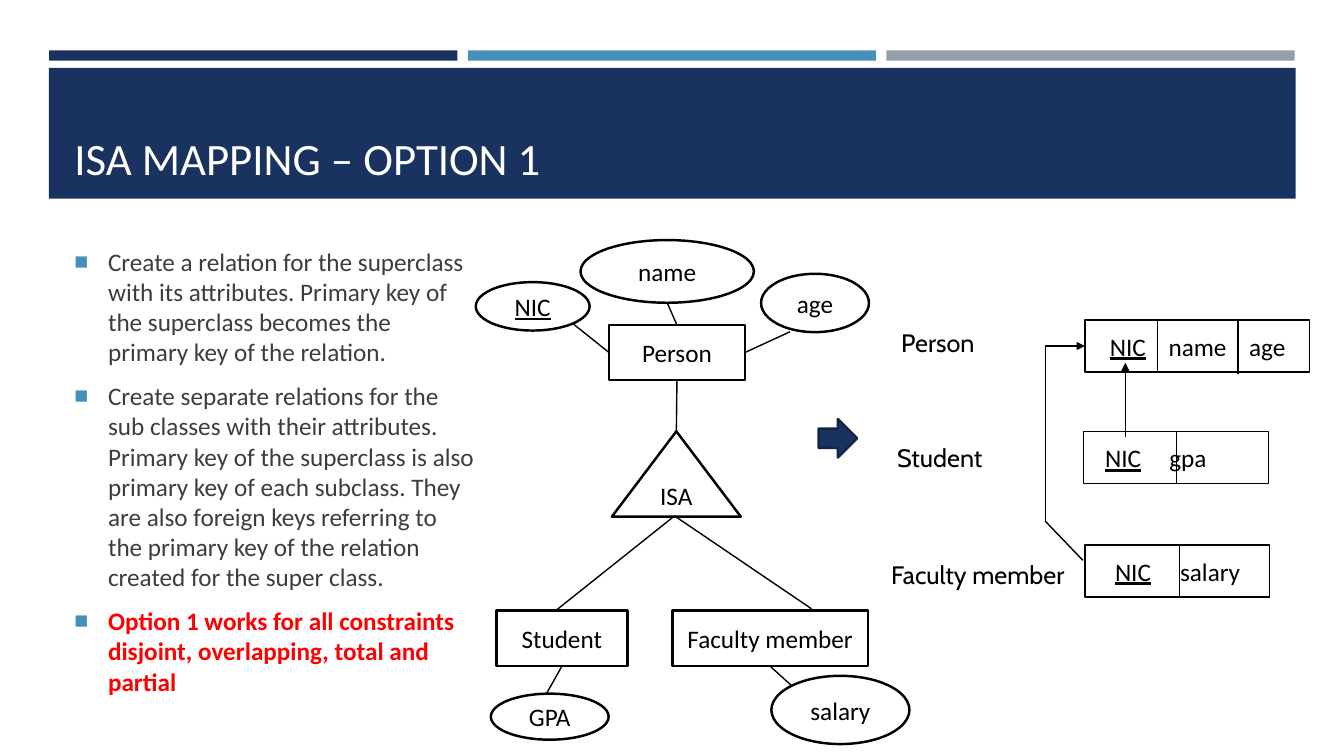
from lxml.etree import SubElement
from pptx import Presentation
from pptx.dml.color import RGBColor
from pptx.enum.shapes import MSO_CONNECTOR, MSO_SHAPE
from pptx.enum.text import MSO_ANCHOR, MSO_AUTO_SIZE, PP_ALIGN
from pptx.oxml.ns import qn
from pptx.util import Cm, Pt

NAVY = RGBColor(0x1A, 0x32, 0x60)
EDGE = RGBColor(0x13, 0x25, 0x47)
BLUE = RGBColor(0x45, 0x90, 0xB8)
GRAY = RGBColor(0x96, 0x9F, 0xA7)
DARK = RGBColor(0x3D, 0x3D, 0x3D)
RED = RGBColor(0xFF, 0x00, 0x00)
BLACK = RGBColor(0x00, 0x00, 0x00)
WHITE = RGBColor(0xFF, 0xFF, 0xFF)

RECT, OVAL = MSO_SHAPE.RECTANGLE, MSO_SHAPE.OVAL


def write(par, text, size=18, font="Calibri", color=BLACK, bold=False, under=False):
    run = par.add_run()
    run.text = text
    run.font.size = Pt(size)
    run.font.name = font
    run.font.color.rgb = color
    run.font.bold = bold
    run.font.underline = under


def link(start, end, arrow=False):
    """Draw a line; each end is an (x, y) point in cm or a (shape, site) pair."""
    spots = [(0, 0) if hasattr(e[0], "shape_id") else e for e in (start, end)]
    line = slide.shapes.add_connector(
        MSO_CONNECTOR.STRAIGHT, *[Cm(v) for spot in spots for v in spot])
    if hasattr(start[0], "shape_id"):
        line.begin_connect(*start)
    if hasattr(end[0], "shape_id"):
        line.end_connect(*end)
    line.line.color.rgb = BLACK
    line.line.width = Pt(1)
    props = line.element.spPr
    if arrow:
        SubElement(props.find(qn("a:ln")), qn("a:tailEnd"), type="triangle")
    SubElement(props, qn("a:effectLst"))


deck = Presentation()
deck.slide_width, deck.slide_height = Cm(33.87), Cm(19.05)
slide = deck.slides.add_slide(deck.slide_layouts[1])
title, body = slide.placeholders

# Title and list
for holder, box, anchor in [
    (title, (1.62, 1.96, 30.63, 2.82), MSO_ANCHOR.BOTTOM),
    (body, (1.62, 6.07, 10.6, 12.55), MSO_ANCHOR.TOP),
]:
    holder.left, holder.top, holder.width, holder.height = map(Cm, box)
    holder.text_frame.vertical_anchor = anchor
    holder.text_frame.auto_size = MSO_AUTO_SIZE.NONE
    holder.text_frame.word_wrap = True

par = title.text_frame.paragraphs[0]
par.alignment = PP_ALIGN.LEFT
write(par, "ISA MAPPING – OPTION 1", size=32, color=WHITE)

points = [
    ("Create a relation for the superclass with its attributes. Primary key of "
     "the superclass becomes the primary key of the relation.", DARK, False),
    ("Create separate relations for the sub classes with their attributes. "
     "Primary key of the superclass is also primary key of each subclass. They "
     "are also foreign keys referring to the primary key of the relation "
     "created for the super class.", DARK, False),
    ("Option 1 works for all constraints disjoint, overlapping, total and "
     "partial", RED, True),
]
for i, (text, color, bold) in enumerate(points):
    par = body.text_frame.add_paragraph() if i else body.text_frame.paragraphs[0]
    par.space_before, par.space_after = Pt(3.6), Pt(6)
    write(par, text, color=color, bold=bold)
    props = par._p.get_or_add_pPr()
    props.set("marL", str(Cm(0.85)))
    props.set("indent", str(-Cm(0.85)))
    SubElement(SubElement(props, qn("a:buClr")), qn("a:srgbClr"), val=str(BLUE))
    SubElement(props, qn("a:buSzPct"), val="92000")
    SubElement(props, qn("a:buFont"), typeface="Arial")
    SubElement(props, qn("a:buChar"), char="■")

# Every filled shape: key, preset, box, fill, line, line width, label
shapes = [
    (f"Bar {i + 1}", RECT, (1.24 + 10.55 * i, 1.27, 10.29, 0.26), fill, None, 0, "")
    for i, fill in enumerate([NAVY, BLUE, GRAY])
]
shapes += [
    ("Banner", RECT, (1.23, 1.71, 31.42, 3.3), NAVY, None, 0, ""),
    ("Arrow", MSO_SHAPE.RIGHT_ARROW, (20.63, 10.56, 0.97, 0.97), NAVY, EDGE, 1.75, ""),
]
shapes += [(text, kind, box, WHITE, BLACK, 1.75, text) for text, kind, box in [
    ("Person", RECT, (15.35, 8.19, 3.42, 1.39)),
    ("NIC", OVAL, (11.99, 7.11, 2.87, 1.22)),
    ("name", OVAL, (14.63, 6.05, 4.37, 1.58)),
    ("age", OVAL, (19.18, 6.9, 2.72, 1.47)),
    ("ISA", MSO_SHAPE.ISOSCELES_TRIANGLE, (15.42, 10.87, 3.25, 2.15)),
    ("Student", RECT, (12.51, 15.39, 3.3, 1.4)),
    ("Faculty member", RECT, (16.95, 15.39, 4.92, 1.4)),
    ("GPA", OVAL, (12.37, 17.48, 2.97, 1.16)),
    ("salary", OVAL, (19.44, 17.03, 3.48, 1.72)),
]]
shapes += [(name, RECT, box, WHITE, BLACK, 1, "") for name, box in [
    ("Person table", (27.34, 8.06, 5.66, 1.32)),
    ("Student table", (27.31, 10.87, 4.66, 1.32)),
    ("Faculty table", (27.34, 13.73, 4.65, 1.32)),
]]
made = {}
for name, kind, box, fill, edge, width, text in shapes:
    shape = slide.shapes.add_shape(kind, *map(Cm, box))
    shape.shadow.inherit = False
    shape.fill.solid()
    shape.fill.fore_color.rgb = fill
    if edge is None:
        shape.line.fill.background()
        title.element.addprevious(shape.element)
    else:
        shape.line.color.rgb = edge
        shape.line.width = Pt(width)
    frame = shape.text_frame
    frame.margin_left = frame.margin_right = 0
    frame.margin_top = frame.margin_bottom = 0
    frame.vertical_anchor = MSO_ANCHOR.MIDDLE
    if text:
        frame.paragraphs[0].alignment = PP_ALIGN.CENTER
        write(frame.paragraphs[0], text, under=text == "NIC")
    made[name] = shape

# Entity diagram
person, isa = made["Person"], made["ISA"]
for start, end in [
    ((isa, 0), (person, 2)),
    ((17, 13), (14, 15.39)),
    ((17, 13), (20.45, 15.34)),
    ((14.43, 8.15), (person, 1)),
    ((19.91, 8.36), (person, 3)),
    ((16.81, 7.62), (person, 0)),
    ((made["Student"], 2), (13.77, 17.48)),
    ((19.94, 17.27), (made["Faculty member"], 2)),
]:
    link(start, end)

# Relations: key position, then the other fields with their positions
for name, key, fields, cuts in [
    ("Person table", 27.97, [("name", 29.45), ("age", 31.48)],
     [(29.17, 8.06), (31.2, 8.1)]),
    ("Student table", 27.85, [("gpa", 29.47)], [(29.65, 10.87)]),
    ("Faculty table", 28.1, [("salary", 29.74)], [(29.72, 13.73)]),
]:
    table = made[name]
    table.text_frame.margin_left = Cm(key) - table.left
    par = table.text_frame.paragraphs[0]
    par.alignment = PP_ALIGN.LEFT
    write(par, "NIC", under=True)
    stops = SubElement(par._p.get_or_add_pPr(), qn("a:tabLst"))
    for text, x in fields:
        SubElement(stops, qn("a:tab"), pos=str(Cm(x - key)), algn="l")
        write(par, "\t" + text)
    for x, y in cuts:
        link((x, y), (x, y + 1.32))

for text, x, y, width in [
    ("Person", 22.46, 8.13, 2.41),
    ("Student", 22.36, 11.01, 2.69),
    ("Faculty member", 22.21, 13.97, 5.03),
]:
    frame = slide.shapes.add_textbox(Cm(x), Cm(y), Cm(width), Cm(1.02)).text_frame
    frame.word_wrap = False
    write(frame.paragraphs[0], text, font="Cabin")

# Foreign keys
link((28.36, 11), (28.36, 9.14), arrow=True)
link((27.29, 14.12), (26.34, 13.13))
link((26.34, 13.13), (26.34, 8.72))
link((26.34, 8.72), (made["Person table"], 1), arrow=True)

deck.save("out.pptx")
